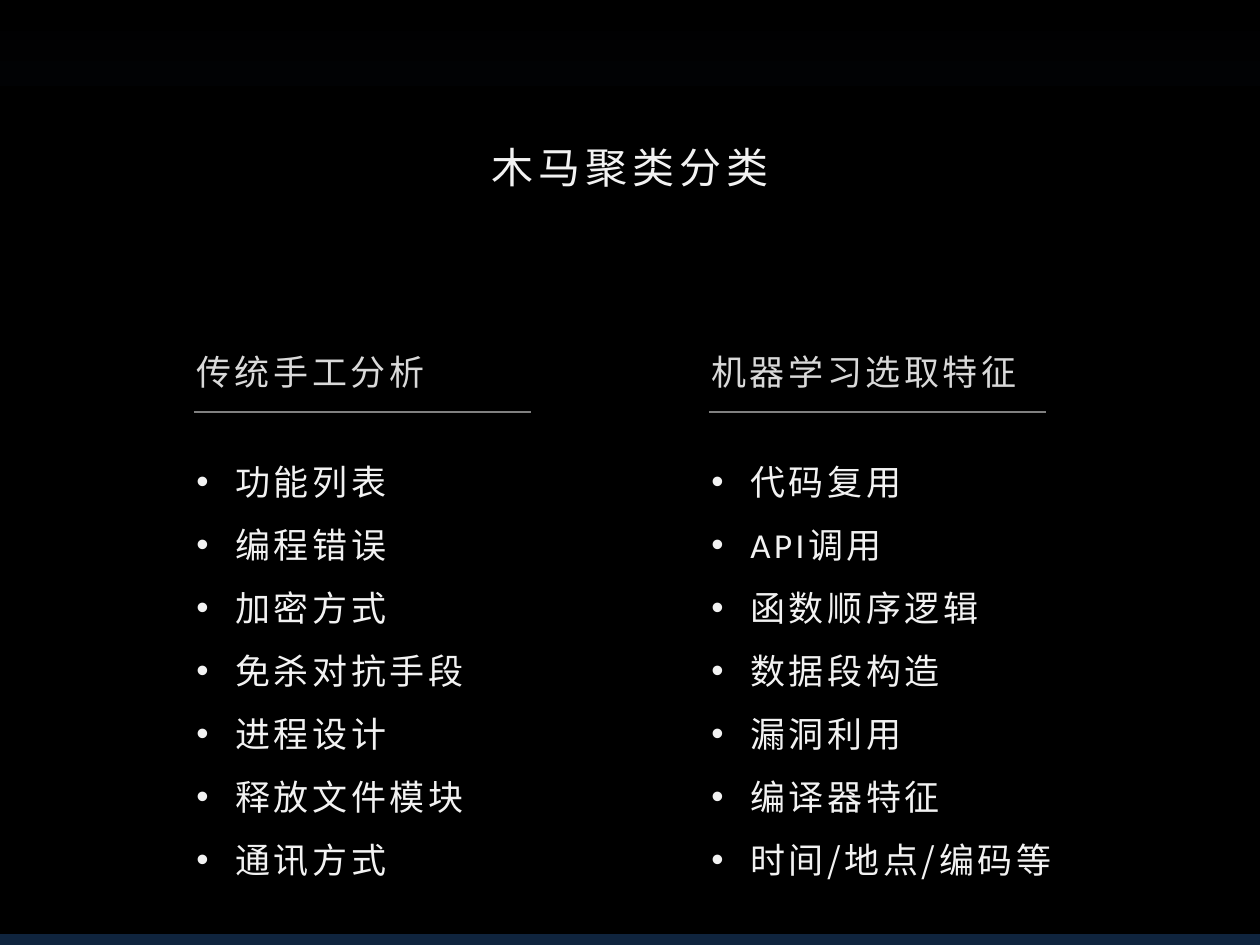
from lxml import etree
from pptx import Presentation
from pptx.dml.color import RGBColor
from pptx.enum.shapes import MSO_CONNECTOR, MSO_SHAPE
from pptx.enum.text import MSO_AUTO_SIZE, PP_ALIGN
from pptx.oxml.ns import qn
from pptx.util import Emu, Pt

CENTER, LEFT = PP_ALIGN.CENTER, PP_ALIGN.LEFT
STRAIGHT = MSO_CONNECTOR.STRAIGHT
RECTANGLE = MSO_SHAPE.RECTANGLE
FIT_SHAPE = MSO_AUTO_SIZE.SHAPE_TO_FIT_TEXT
BLACK = RGBColor(0x00, 0x00, 0x00)
NAVY = RGBColor(0x0F, 0x24, 0x3E)
WHITE = RGBColor(0xF2, 0xF2, 0xF2)
SILVER = RGBColor(0xD9, 0xD9, 0xD9)
GRAY = RGBColor(0x80, 0x80, 0x80)
CJK, HEADING, LATIN = "Noto Sans CJK SC", "Arial", "Calibri"
PX = 914400 / 126


def px(n):
    return Emu(round(n * PX))


class Deck:
    """Holds the style and the current slide, and draws each kind of element."""

    def __init__(self, width, height):
        self.prs = Presentation()
        self.prs.slide_width, self.prs.slide_height = px(width), px(height)
        self.s = self.prs.slides.add_slide(self.prs.slide_layouts[6])

    def background(self, top, bottom):
        fill = self.s.background.fill
        fill.gradient()
        fill.gradient_angle = 270
        for stop, color in zip(fill.gradient_stops, (top, bottom)):
            stop.color.rgb = color

    def panel(self, x, y, w, h, color):
        sp = self.s.shapes.add_shape(RECTANGLE, px(x), px(y), px(w), px(h))
        sp.shadow.inherit = False
        sp.fill.solid()
        sp.fill.fore_color.rgb = color
        sp.line.fill.background()

    def box(self, x, y, w, h, wrap):
        tf = self.s.shapes.add_textbox(px(x), px(y), px(w), px(h)).text_frame
        tf.word_wrap = wrap
        return tf

    def style(self, r, size, color, font, spacing):
        r.font.size, r.font.name = Pt(size), font
        r.font.color.rgb = color
        rPr = r.font._element if hasattr(r.font, "_element") else r._r.get_or_add_rPr()
        rPr.set("spc", str(spacing))
        etree.SubElement(rPr, qn("a:ea"), typeface=CJK)

    def label(self, x, y, w, h, text, size, color, font, spacing, align=LEFT):
        tf = self.box(x, y, w, h, False)
        tf.text = text
        p = tf.paragraphs[0]
        p.alignment = align
        self.style(p.runs[0], size, color, font, spacing)
        return tf

    def bullets(self, x, y, w, h, items):
        tf = self.box(x, y, w, h, True)
        for i, item in enumerate(items):
            p = tf.paragraphs[0] if i == 0 else tf.add_paragraph()
            p.line_spacing = 1.5
            pPr = p._p.get_or_add_pPr()
            pPr.set("marL", str(px(39)))
            pPr.set("indent", str(-px(39)))
            etree.SubElement(pPr, qn("a:buFont"), typeface="Arial")
            etree.SubElement(pPr, qn("a:buChar"), char="•")
            tabs = etree.SubElement(pPr, qn("a:tabLst"))
            for stop in (260, 346):
                etree.SubElement(tabs, qn("a:tab"), pos=str(px(stop)), algn="l")
            for text, font in item:
                r = p.add_run()
                r.text = text
                self.style(r, 20, WHITE, font, 200)

    def rule(self, x, y, w):
        c = self.s.shapes.add_connector(STRAIGHT, px(x), px(y), px(x + w), px(y))
        c.line.color.rgb = GRAY
        c.line.width = Pt(0.75)
        etree.SubElement(c._element.spPr, qn("a:effectLst"))

    def column(self, x, heading, heading_w, items, items_w):
        self.bullets(x, 433, items_w, 417, items)
        tf = self.label(x, 344, heading_w, 55, heading, 20, SILVER, HEADING, 200)
        tf.auto_size = FIT_SHAPE
        self.rule(x + 10, 412, 337)


def cjk_items(*texts):
    return [[(text, CJK)] for text in texts]


def main():
    deck = Deck(1260, 945)
    deck.background(BLACK, NAVY)
    deck.panel(0, 86, 1260, 848, BLACK)
    deck.label(134, 135, 992, 72, "木马聚类分类", 24, WHITE, CJK, 280, CENTER)
    manual = cjk_items("功能列表", "编程错误", "加密方式", "免杀对抗手段",
                       "进程设计", "释放文件模块", "通讯方式")
    learned = cjk_items("代码复用", "调用", "函数顺序逻辑", "数据段构造",
                        "漏洞利用", "编译器特征", "时间/地点/编码等")
    learned[1].insert(0, ("API", LATIN))
    deck.column(184, "传统手工分析", 258, manual, 357)
    deck.column(699, "机器学习选取特征", 336, learned, 476)
    deck.prs.save("out.pptx")


if __name__ == "__main__":
    main()
